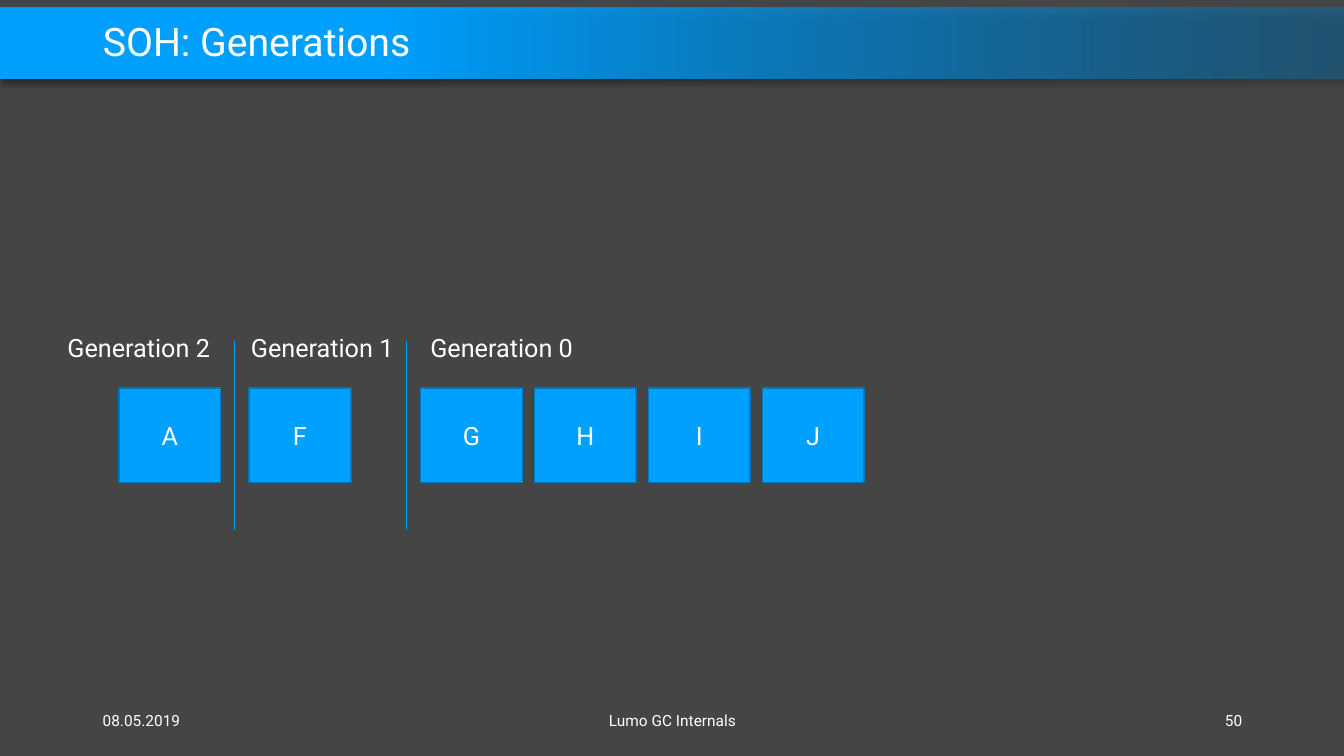
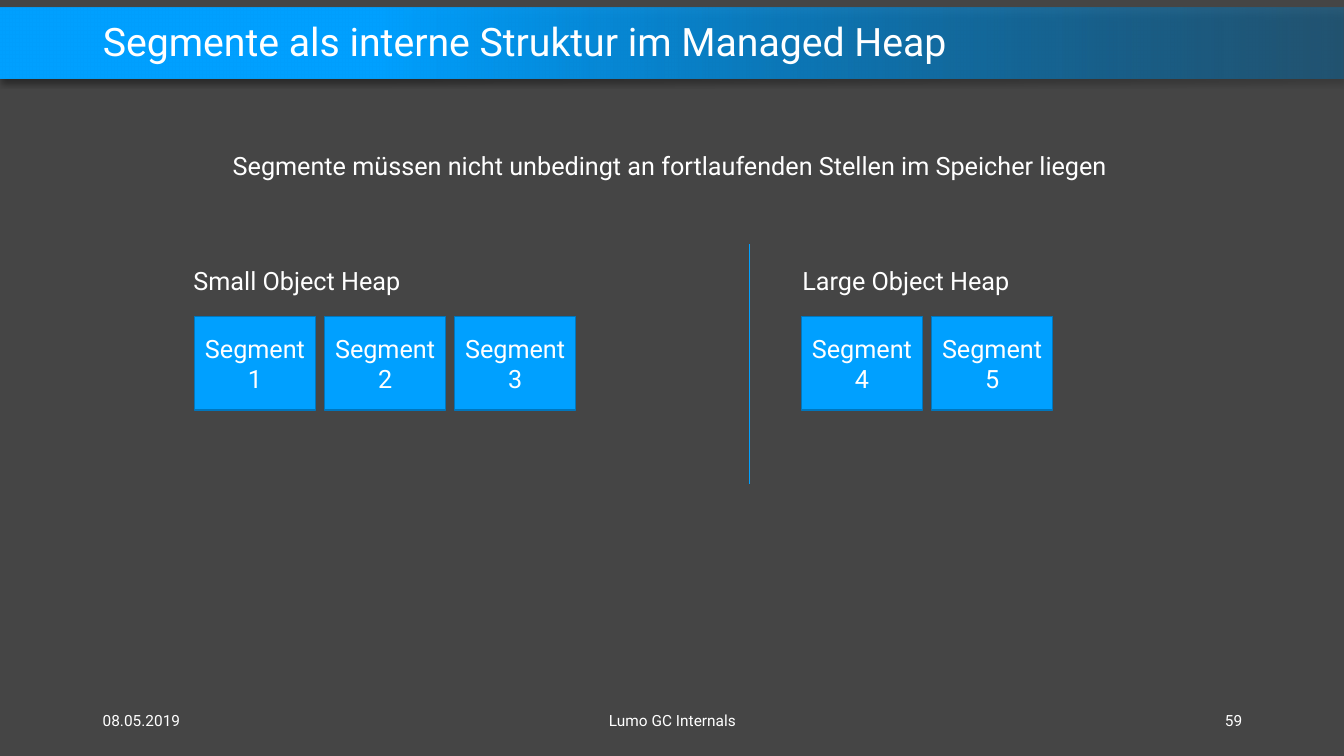
from dataclasses import dataclass
from typing import Any, NamedTuple

from lxml.etree import SubElement
from pptx import Presentation
from pptx.dml.color import RGBColor
from pptx.enum.shapes import MSO_CONNECTOR, MSO_SHAPE
from pptx.enum.text import MSO_ANCHOR, MSO_AUTO_SIZE, PP_ALIGN
from pptx.oxml.ns import qn
from pptx.util import Inches, Pt


@dataclass(frozen=True)
class Theme:
    """Colours, font and type sizes of the deck."""

    background: RGBColor = RGBColor(0x45, 0x45, 0x45)
    accent: RGBColor = RGBColor(0x00, 0xA0, 0xFF)
    outline: RGBColor = RGBColor(0x00, 0x76, 0xBD)
    band_end: RGBColor = RGBColor(0x00, 0x78, 0xBF)
    text: RGBColor = RGBColor(0xFF, 0xFF, 0xFF)
    font: str = "Roboto"
    title_size: Pt = Pt(28)
    body_size: Pt = Pt(18)
    footer_size: Pt = Pt(11)


THEME = Theme()


class Box(NamedTuple):
    """Position and size in inches."""

    left: float
    top: float
    width: float
    height: float

    def lengths(self) -> list[Inches]:
        """Return the four values as lengths."""
        return [Inches(value) for value in self]


class Label(NamedTuple):
    """Unwrapped line of text."""

    text: str
    box: Box


class BlockRow(NamedTuple):
    """Evenly spaced blocks that start at one box."""

    names: list[str]
    first: Box
    pitch: float


class Divider(NamedTuple):
    """Vertical line between two areas."""

    left: float
    top: float
    bottom: float


class FooterItem(NamedTuple):
    """One field of the footer."""

    text: str
    left: float
    width: float
    alignment: PP_ALIGN


class SlideContent(NamedTuple):
    """Everything that differs between slides."""

    title: str
    number: str
    labels: list[Label]
    rows: list[BlockRow]
    dividers: list[Divider]


BAND = Box(0, 0.08, 13.33, 0.7)
TITLE = Box(0.92, 0.16, 11.5, 0.55)


def apply(target: Any, values: dict[str, Any]) -> None:
    """Set each named attribute on the target."""
    for name, value in values.items():
        setattr(target, name, value)


def write(shape: Any, text: str, size: Pt, frame_format: dict[str, Any],
          paragraph_format: dict[str, Any]) -> None:
    """Write one formatted paragraph into a shape."""
    frame = shape.text_frame
    frame.text = text
    apply(frame, frame_format)
    paragraph = frame.paragraphs[0]
    apply(paragraph, paragraph_format)
    font = paragraph.runs[0].font
    apply(font, {"name": THEME.font, "size": size})
    font.color.rgb = THEME.text


def add_alpha(parent: Any, percent: int) -> None:
    """Make a colour element partly transparent."""
    SubElement(parent, qn("a:alpha"), val=str(percent * 1000))


def add_band(master: Any, slide: Any) -> None:
    """Draw the title band and place it at the back of the master."""
    band = slide.shapes.add_shape(MSO_SHAPE.RECTANGLE, *BAND.lengths())
    band.line.fill.background()
    band.fill.gradient()
    band.fill.gradient_angle = 180
    stops = band.fill.gradient_stops
    for stop, color, position in zip(stops, (THEME.band_end, THEME.accent), (0, 0.72)):
        stop.color.rgb = color
        stop.position = position
    add_alpha(next(band.element.spPr.iter(qn("a:srgbClr"))), 40)
    band.shadow.inherit = False
    effects = band.element.spPr.find(qn("a:effectLst"))
    shadow = SubElement(effects, qn("a:outerShdw"), blurRad=str(Pt(4)), dist=str(Pt(3)),
                        dir="5400000", algn="t", rotWithShape="0")
    add_alpha(SubElement(shadow, qn("a:srgbClr"), val="000000"), 40)
    master.shapes.element.insert(2, band.element)


def add_title(slide: Any, text: str) -> None:
    """Fill and place the title placeholder."""
    title = slide.shapes.title
    apply(title, dict(zip(("left", "top", "width", "height"), TITLE.lengths())))
    write(title, text, THEME.title_size,
          {"vertical_anchor": MSO_ANCHOR.MIDDLE, "word_wrap": True},
          {"alignment": PP_ALIGN.LEFT, "line_spacing": 0.9})


def add_footer(slide: Any, number: str) -> None:
    """Write date, deck name and slide number."""
    items = [
        FooterItem("08.05.2019", 0.92, 3, PP_ALIGN.LEFT),
        FooterItem("Lumo GC Internals", 4.42, 4.5, PP_ALIGN.CENTER),
        FooterItem(number, 9.42, 3, PP_ALIGN.RIGHT),
    ]
    for item in items:
        box = Box(item.left, 6.95, item.width, 0.4)
        write(slide.shapes.add_textbox(*box.lengths()), item.text, THEME.footer_size,
              {"vertical_anchor": MSO_ANCHOR.MIDDLE, "word_wrap": True},
              {"alignment": item.alignment})


def add_label(slide: Any, label: Label) -> None:
    """Write a label that does not wrap."""
    write(slide.shapes.add_textbox(*label.box.lengths()), label.text, THEME.body_size,
          {"word_wrap": False, "auto_size": MSO_AUTO_SIZE.SHAPE_TO_FIT_TEXT},
          {"alignment": PP_ALIGN.LEFT})


def add_row(slide: Any, row: BlockRow) -> None:
    """Draw a row of named blocks."""
    for index, name in enumerate(row.names):
        box = row.first._replace(left=row.first.left + index * row.pitch)
        block = slide.shapes.add_shape(MSO_SHAPE.RECTANGLE, *box.lengths())
        block.shadow.inherit = False
        block.fill.solid()
        block.fill.fore_color.rgb = THEME.accent
        block.line.color.rgb = THEME.outline
        block.line.width = Pt(1)
        write(block, name, THEME.body_size,
              {"vertical_anchor": MSO_ANCHOR.MIDDLE, "word_wrap": True},
              {"alignment": PP_ALIGN.CENTER})


def add_divider(slide: Any, divider: Divider) -> None:
    """Draw a thin vertical line."""
    left = Inches(divider.left)
    line = slide.shapes.add_connector(MSO_CONNECTOR.STRAIGHT, left, Inches(divider.top),
                                      left, Inches(divider.bottom))
    line.line.color.rgb = THEME.accent
    line.line.width = Pt(0.5)
    SubElement(line.element.spPr, qn("a:effectLst"))


def generations() -> SlideContent:
    """Describe the generations of the small object heap."""
    rows = [(["A"], 1.18), (["F"], 2.47), (["G", "H", "I", "J"], 4.17)]
    labels = [("Generation 2", 0.57), ("Generation 1", 2.39), ("Generation 0", 4.17)]
    return SlideContent(
        "SOH: Generations", "50",
        [Label(text, Box(left, 3.25, 1.64, 0.4)) for text, left in labels],
        [BlockRow(names, Box(left, 3.85, 1.01, 0.94), 1.13) for names, left in rows],
        [Divider(left, 3.38, 5.26) for left in (2.32, 4.03)],
    )


def segments() -> SlideContent:
    """Describe the segments of both heaps."""
    rows = [((1, 2, 3), 1.93), ((4, 5), 7.95)]
    labels = [("Small Object Heap", 1.82), ("Large Object Heap", 7.86)]
    statement = "Segmente müssen nicht unbedingt an fortlaufenden Stellen im Speicher liegen"
    return SlideContent(
        "Segmente als interne Struktur im Managed Heap", "59",
        [Label(statement, Box(2.21, 1.44, 8.92, 0.4))]
        + [Label(text, Box(left, 2.58, 2.27, 0.4)) for text, left in labels],
        [BlockRow([f"Segment {number}" for number in numbers],
                  Box(left, 3.14, 1.2, 0.93), 1.29) for numbers, left in rows],
        [Divider(7.43, 2.42, 4.8)],
    )


def add_content(slide: Any, content: SlideContent) -> None:
    """Draw one slide from its description."""
    add_title(slide, content.title)
    add_footer(slide, content.number)
    for row in content.rows:
        add_row(slide, row)
    for divider in content.dividers:
        add_divider(slide, divider)
    for label in content.labels:
        add_label(slide, label)


def main() -> None:
    """Build and save the presentation."""
    presentation = Presentation()
    apply(presentation, {"slide_width": Inches(13.33), "slide_height": Inches(7.5)})
    master = presentation.slide_master
    master.background.fill.solid()
    master.background.fill.fore_color.rgb = THEME.background
    layout = presentation.slide_layouts.get_by_name("Title Only")
    contents = [generations(), segments()]
    slides = [presentation.slides.add_slide(layout) for _ in contents]
    add_band(master, slides[0])
    for slide, content in zip(slides, contents):
        add_content(slide, content)
    presentation.save("out.pptx")


if __name__ == "__main__":
    main()
